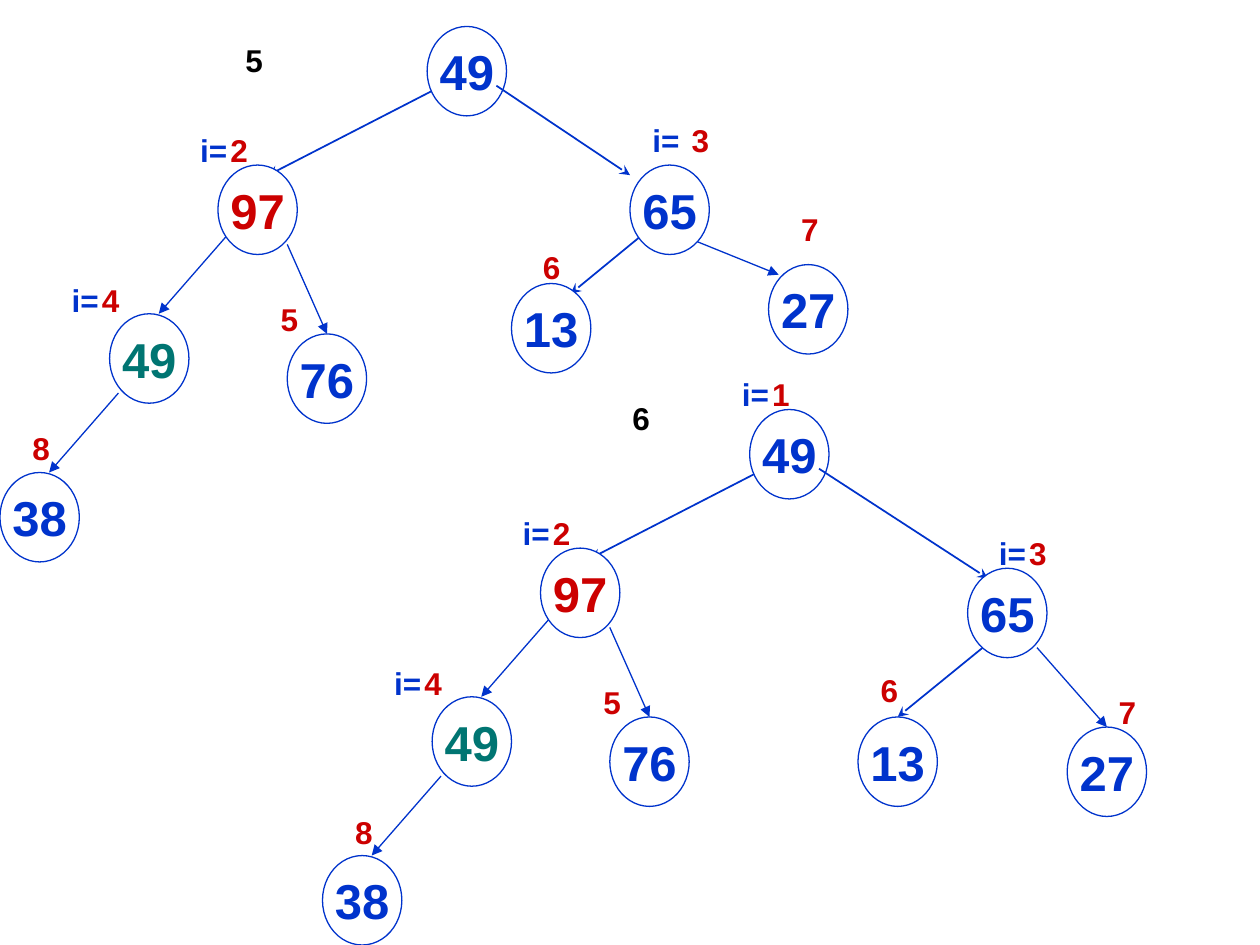
from dataclasses import dataclass
from lxml.etree import SubElement
from pptx import Presentation
from pptx.dml.color import RGBColor
from pptx.enum.shapes import MSO_CONNECTOR, MSO_SHAPE
from pptx.enum.text import MSO_ANCHOR, MSO_AUTO_SIZE, PP_ALIGN
from pptx.oxml.ns import qn
from pptx.util import Inches, Pt


@dataclass(frozen=True)
class Theme:
    font: str = "Arial"
    blue: str = "0033CC"
    red: str = "CC0000"
    teal: str = "007572"
    black: str = "000000"
    white: str = "FFFFFF"
    node_size: int = 28
    label_size: int = 18
    outline: float = 0.75
    arrows: tuple = (("triangle", 0.75), ("stealth", 1))


THEME = Theme()
NODE_WIDTH, NODE_HEIGHT = 0.63, 0.71
DIGIT_WIDTH, PREFIX_WIDTH, CAPTION_WIDTH, LABEL_HEIGHT = 0.34, 0.42, 1.26, 0.4
PREFIX_GAP = 0.24

# Nodes: value, left, top, colour. Edges: x1, y1, x2, y2, arrow. Indexes: digit, left, top, prefix gap.
SHARED = {
    "nodes": [
        ("49", 3.39, 0.21, THEME.blue), ("97", 1.73, 1.31, THEME.red),
        ("49", 0.87, 2.49, THEME.teal), ("76", 2.28, 2.65, THEME.blue),
        ("38", 0, 3.75, THEME.blue),
    ],
    "edges": [
        (3.51, 0.68, 2.13, 1.39, 1), (1.81, 1.86, 1.26, 2.49, 0),
        (2.28, 1.94, 2.6, 2.65, 0), (0.94, 3.12, 0.39, 3.75, 0),
    ],
    "indexes": [
        ("2", 1.73, 0.99, PREFIX_GAP), ("4", 0.71, 2.18, PREFIX_GAP),
        ("5", 2.13, 2.33, 0), ("8", 0.16, 3.36, 0),
    ],
}
FIRST_RIGHT = {
    "nodes": [("65", 5, 1.31, THEME.blue), ("13", 4.06, 2.25, THEME.blue), ("27", 6.1, 2.1, THEME.blue)],
    "edges": [(3.94, 0.68, 5, 1.39, 1), (5.2, 1.78, 4.53, 2.33, 1), (5.39, 1.86, 6.18, 2.18, 0)],
    "indexes": [("3", 5.39, 0.91, 0.31), ("6", 4.21, 1.92, 0), ("7", 6.26, 1.62, 0)],
}
SECOND_RIGHT = {
    "nodes": [("65", 7.68, 4.51, THEME.blue), ("13", 6.81, 5.69, THEME.blue), ("27", 8.47, 5.77, THEME.blue)],
    "edges": [(6.5, 3.72, 7.84, 4.59, 1), (7.8, 5.14, 7.13, 5.69, 1), (8.23, 5.14, 8.78, 5.77, 0)],
    "indexes": [("1", 6.03, 2.93, PREFIX_GAP), ("3", 8.07, 4.19, PREFIX_GAP),
                ("6", 6.89, 5.28, 0), ("7", 8.78, 5.45, 0)],
}
TREES = [
    (("5", 1.85, 0.28), (0, 0), FIRST_RIGHT),
    (("6", 4.92, 3.12), (2.56, 3.04), SECOND_RIGHT),
]


def shifted(part, shift):
    dx, dy = shift
    return {
        "nodes": [(value, x + dx, y + dy, color) for value, x, y, color in part["nodes"]],
        "edges": [(x1 + dx, y1 + dy, x2 + dx, y2 + dy, arrow) for x1, y1, x2, y2, arrow in part["edges"]],
        "indexes": [(digit, x + dx, y + dy, gap) for digit, x, y, gap in part["indexes"]],
    }


def add_span(para, text, size, color):
    span = para.add_run()
    span.text = text
    span.font.name = THEME.font
    span.font.size = Pt(size)
    span.font.bold = True
    span.font.color.rgb = RGBColor.from_string(color)


def add_label(page, text, left, top, width, color):
    box = page.shapes.add_textbox(Inches(left), Inches(top), Inches(width), Inches(LABEL_HEIGHT))
    box.text_frame.word_wrap = True
    box.text_frame.auto_size = MSO_AUTO_SIZE.SHAPE_TO_FIT_TEXT
    add_span(box.text_frame.paragraphs[0], text, THEME.label_size, color)


def add_edge(page, x1, y1, x2, y2, arrow):
    head, width = THEME.arrows[arrow]
    edge = page.shapes.add_connector(MSO_CONNECTOR.STRAIGHT, Inches(x1), Inches(y1), Inches(x2), Inches(y2))
    edge.line.color.rgb = RGBColor.from_string(THEME.blue)
    edge.line.width = Pt(width)
    SubElement(edge.line._get_or_add_ln(), qn("a:tailEnd"), type=head)
    SubElement(edge._element.spPr, qn("a:effectLst"))
    return edge


def add_node(page, value, left, top, color):
    node = page.shapes.add_shape(
        MSO_SHAPE.OVAL, Inches(left), Inches(top), Inches(NODE_WIDTH), Inches(NODE_HEIGHT))
    node.shadow.inherit = False
    node.fill.solid()
    node.fill.fore_color.rgb = RGBColor.from_string(THEME.white)
    node.line.color.rgb = RGBColor.from_string(THEME.blue)
    node.line.width = Pt(THEME.outline)
    node.text_frame.word_wrap = False
    node.text_frame.vertical_anchor = MSO_ANCHOR.MIDDLE
    para = node.text_frame.paragraphs[0]
    para.alignment = PP_ALIGN.CENTER
    add_span(para, value, THEME.node_size, color)
    return node


def join_tops(edges, nodes):
    reach = Inches(0.02)
    for edge in edges:
        for node in nodes:
            middle = node.left + node.width // 2
            if abs(edge.end_x - middle) < reach and abs(edge.end_y - node.top) < reach:
                edge.end_connect(node, 0)


def add_part(page, part):
    edges = [add_edge(page, *edge) for edge in part["edges"]]
    nodes = [add_node(page, *node) for node in part["nodes"]]
    join_tops(edges, nodes)
    for digit, left, top, gap in part["indexes"]:
        add_label(page, digit, left, top, DIGIT_WIDTH, THEME.red)
        if gap:
            add_label(page, "i=", left - gap, top, PREFIX_WIDTH, THEME.blue)


def main():
    """Build two stages of a binary heap as node-and-arrow trees."""
    deck = Presentation()
    deck.slide_width, deck.slide_height = Inches(10), Inches(7.5)
    page = deck.slides.add_slide(deck.slide_layouts[6])
    for (step, left, top), shift, right in TREES:
        add_part(page, shifted(SHARED, shift))
        add_part(page, right)
        add_label(page, step, left, top, CAPTION_WIDTH, THEME.black)
    deck.save("out.pptx")


if __name__ == "__main__":
    main()
